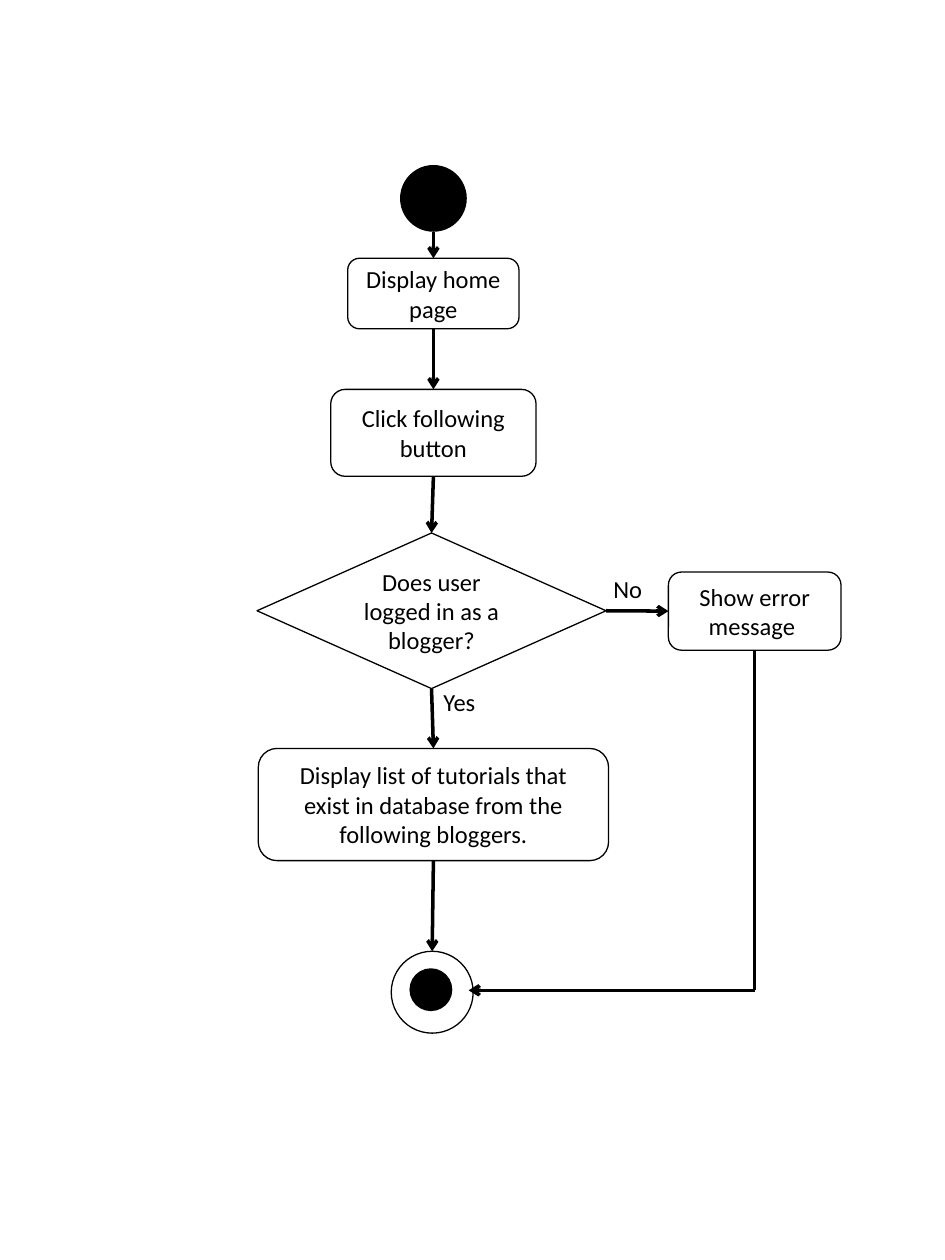
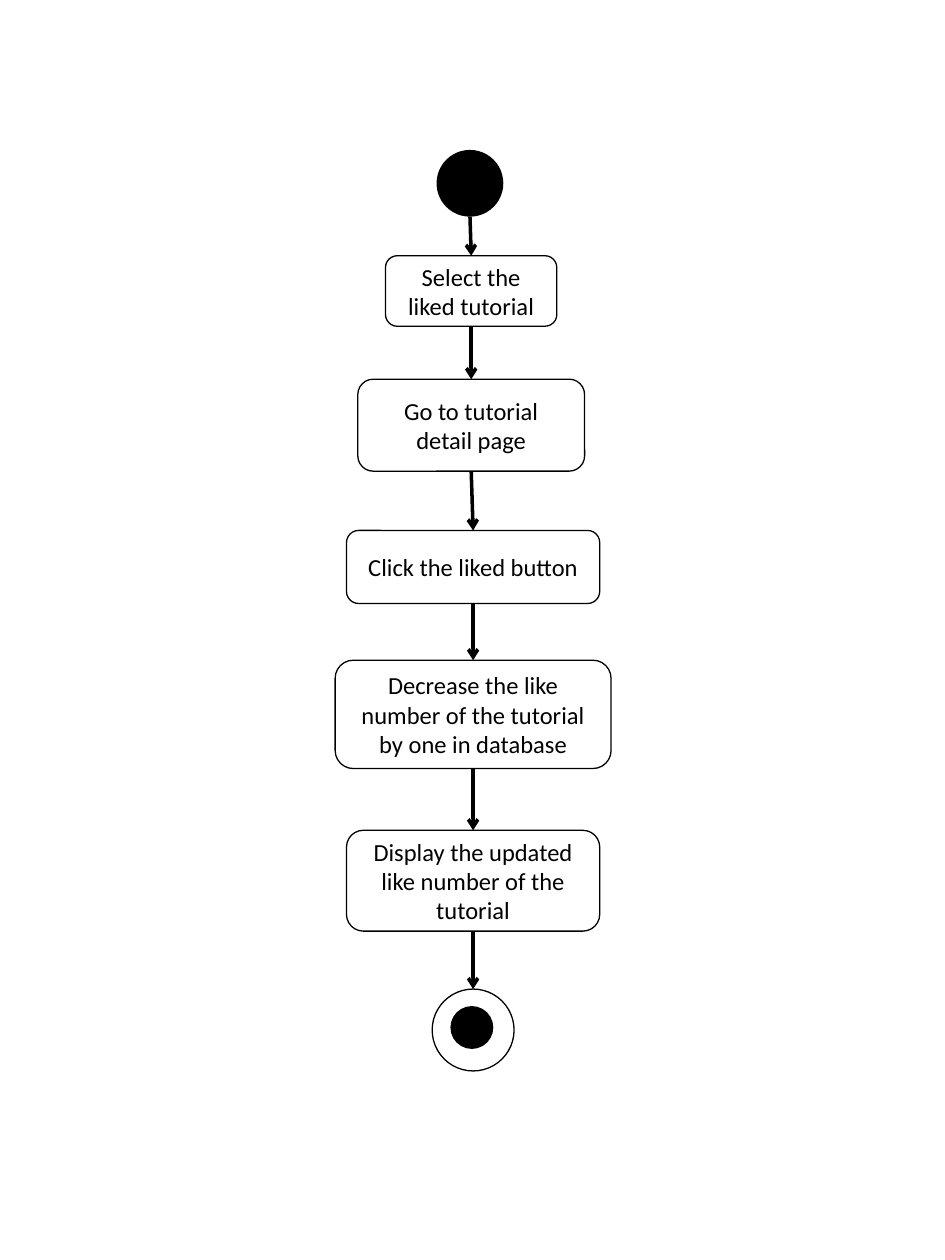
from dataclasses import dataclass
from itertools import pairwise
from typing import Optional

from lxml.etree import SubElement
from pptx import Presentation
from pptx.dml.color import RGBColor
from pptx.enum.shapes import MSO_CONNECTOR, MSO_SHAPE
from pptx.enum.text import MSO_ANCHOR, PP_ALIGN
from pptx.oxml.ns import qn
from pptx.util import Emu, Inches, Pt

COLORS = {"ink": "000000", "paper": "FFFFFF"}
FONT, TEXT_SIZE = "Calibri", 14
COLS, ROWS = 75, 100  # grid cells across and down the page
START, RING, DOT = 5.3, 6.5, 3.4  # circle diameters in cells
TOP, BOTTOM, RIGHT = 0, 2, 3
LEFT = 1

prs = Presentation()
prs.slide_width, prs.slide_height = Inches(7.5), Inches(10)


@dataclass(frozen=True)
class Node:
    """A flow step: centre column, top row, width and height in cells."""
    cx: float
    top: float
    w: float
    h: float
    text: str = ""
    kind: MSO_SHAPE = MSO_SHAPE.ROUNDED_RECTANGLE
    fill: str = "paper"


@dataclass(frozen=True)
class Label:
    col: float
    row: float
    w: float
    text: str


def x(col: float) -> Emu:
    return Emu(round(prs.slide_width * col / COLS))


def y(row: float) -> Emu:
    return Emu(round(prs.slide_height * row / ROWS))


def color(name: str) -> RGBColor:
    return RGBColor.from_string(COLORS[name])


def circle(cx: float, top: float, size: float, fill: str = "ink") -> Node:
    return Node(cx, top, size, size, kind=MSO_SHAPE.OVAL, fill=fill)


def write(s, text: str, align: PP_ALIGN) -> None:
    tf = s.text_frame
    tf.word_wrap = True
    p = tf.paragraphs[0]
    p.alignment = align
    r = p.add_run()
    r.text = text
    r.font.name, r.font.size = FONT, Pt(TEXT_SIZE)
    r.font.color.rgb = color("ink")


def draw_node(slide, node: Node):
    s = slide.shapes.add_shape(node.kind, x(node.cx - node.w / 2), y(node.top),
                               x(node.w), y(node.h))
    s.shadow.inherit = False
    s.fill.solid()
    s.fill.fore_color.rgb = color(node.fill)
    if node.fill == "ink":
        s.line.fill.background()
    else:
        s.line.color.rgb = color("ink")
        s.line.width = Pt(0.75)
    if node.text:
        s.text_frame.vertical_anchor = MSO_ANCHOR.MIDDLE
        write(s, node.text, PP_ALIGN.CENTER)
    return s


def draw_line(slide, x1: int, y1: int, x2: int, y2: int, arrow: bool = True):
    s = slide.shapes.add_connector(MSO_CONNECTOR.STRAIGHT, x1, y1, x2, y2)
    s.line.color.rgb = color("ink")
    s.line.width = Pt(2)
    if arrow:
        SubElement(s.line._get_or_add_ln(), qn("a:tailEnd"), type="arrow")
    SubElement(s._element.spPr, qn("a:effectLst"))
    return s


def draw_label(slide, label: Label) -> None:
    s = slide.shapes.add_textbox(x(label.col), y(label.row), x(label.w), y(3.4))
    write(s, label.text, PP_ALIGN.LEFT)


def draw_flow(start: Node, steps: list[Node], end: Node):
    """Draw a column of steps from the start circle to the ringed end."""
    slide = prs.slides.add_slide(prs.slide_layouts[6])
    nodes = [start, *steps, end]
    shapes = [draw_node(slide, node) for node in nodes]
    draw_node(slide, circle(end.cx - 0.1, end.top + 1.35, DOT))
    for (a, sa), (b, sb) in pairwise(zip(nodes, shapes)):
        s = draw_line(slide, x(a.cx), y(a.top + a.h), x(b.cx), y(b.top))
        if a is not start:
            s.begin_connect(sa, BOTTOM)
        s.end_connect(sb, TOP)
    return slide, shapes


def following_slide() -> None:
    steps = [
        Node(34.4, 20.5, 13.6, 5.6, "Display home page"),
        Node(34.4, 30.9, 16.3, 6.9, "Click following button"),
        Node(34.25, 42.3, 27.7, 12.35, "Does user logged in as a blogger?",
             MSO_SHAPE.FLOWCHART_DECISION),
        Node(34.4, 59.4, 27.8, 8.9, "Display list of tutorials that exist in "
             "database from the following bloggers."),
    ]
    end = circle(34.3, 75.5, RING, "paper")
    slide, shapes = draw_flow(circle(34.4, 13.1, START), steps, end)

    # Branch for users who are not bloggers
    error = Node(59.9, 45.4, 13.7, 6.2, "Show error message ")
    box = draw_node(slide, error)
    s = draw_line(slide, x(48.1), y(48.5), x(53), y(48.5))
    s.begin_connect(shapes[3], RIGHT)
    s.end_connect(box, LEFT)
    turn = y(78.6)
    s = draw_line(slide, x(error.cx), turn, x(error.cx), y(51.6), arrow=False)
    s.end_connect(box, BOTTOM)
    draw_line(slide, x(error.cx), turn, x(37.2), turn)

    for label in (Label(34.2, 54, 6.5, "Yes"), Label(47.7, 45.1, 4.7, "No")):
        draw_label(slide, label)


def unlike_slide() -> None:
    steps = [
        Node(37.4, 20.3, 13.6, 5.6, "Select the liked tutorial"),
        Node(37.4, 30.1, 18, 7.3, "Go to tutorial detail page"),
        Node(37.55, 42.1, 20.1, 5.8, "Click the liked button"),
        Node(37.55, 52.4, 21.9, 8.6,
             "Decrease the like number of the tutorial by one in database"),
        Node(37.55, 65.9, 20.1, 8,
             "Display the updated like number of the tutorial"),
    ]
    draw_flow(circle(37.3, 11.9, START), steps,
              circle(37.55, 78.5, RING, "paper"))


def main() -> None:
    following_slide()
    unlike_slide()
    prs.save("out.pptx")


if __name__ == "__main__":
    main()
